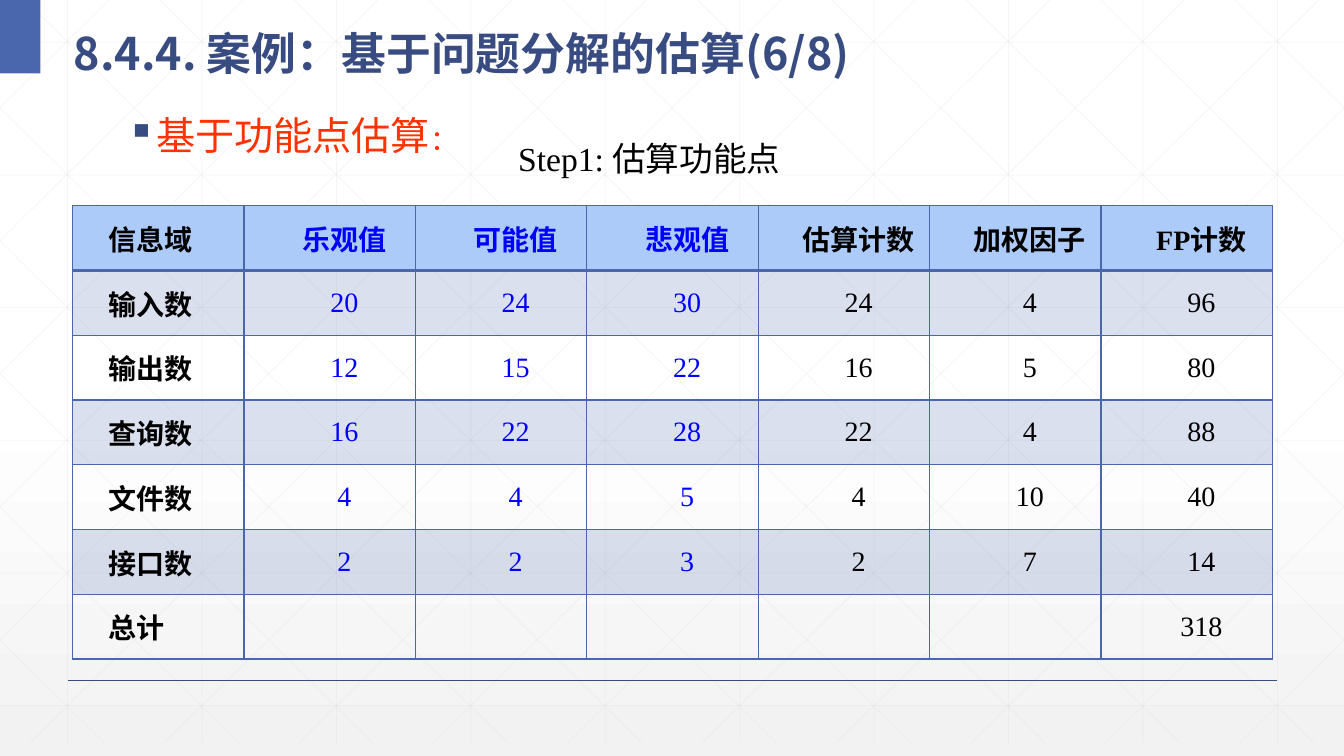
from lxml.etree import SubElement
from pptx import Presentation
from pptx.dml.color import RGBColor
from pptx.enum.shapes import MSO_CONNECTOR, MSO_SHAPE
from pptx.enum.text import MSO_ANCHOR, PP_ALIGN
from pptx.oxml.ns import qn
from pptx.util import Inches, Pt

COLORS = {
    "navy": "384C81", "accent": "4A66AC", "header": "ACCBF9", "grid": "D9D9D9",
    "red": "FF3300", "blue": "0000FF", "black": "000000",
    "white": "FFFFFF", "gray": "F2F2F2",
}
SANS, SERIF = "Noto Sans CJK SC", "Times New Roman"
WIDTH, HEIGHT = 13.33, 7.5
GRID_BOTTOM, GRID_STEP = 7.37, 4 / 3

ROWS = [
    ["信息域", "乐观值", "可能值", "悲观值", "估算计数", "加权因子", "FP计数"],
    ["输入数", "20", "24", "30", "24", "4", "96"],
    ["输出数", "12", "15", "22", "16", "5", "80"],
    ["查询数", "16", "22", "28", "22", "4", "88"],
    ["文件数", "4", "4", "5", "4", "10", "40"],
    ["接口数", "2", "2", "3", "2", "7", "14"],
    ["总计", "", "", "", "", "", "318"],
]


def add_element(parent, tag, **attributes):
    return SubElement(parent, qn(tag), attributes)


class SlideBuilder:
    def __init__(self, presentation):
        self.slide = presentation.slides.add_slide(presentation.slide_layouts[5])
        self.shapes = self.slide.shapes

    def color(self, name):
        return RGBColor.from_string(COLORS[name])

    def set_alpha(self, fill_parent, percent):
        for color in fill_parent.iter(qn("a:srgbClr")):
            add_element(color, "a:alpha", val=str(percent * 1000))

    def style(self, paragraph, size, color, name, bold=False):
        font = paragraph.font
        font.size, font.bold, font.name = Pt(size), bold, name
        font.color.rgb = self.color(color)
        add_element(font._rPr, "a:ea", typeface=SANS)

    def background(self, stops):
        fill = self.slide.background.fill
        fill.gradient()
        fill.gradient_angle = 270
        stop_list = next(self.slide.background._cSld.iter(qn("a:gsLst")))
        for stop in list(stop_list):
            stop_list.remove(stop)
        for position, name in stops:
            stop = add_element(stop_list, "a:gs", pos=str(position * 1000))
            add_element(stop, "a:srgbClr", val=COLORS[name])

    def line(self, start, end, color, width, alpha=None):
        points = [Inches(value) for value in (*start, *end)]
        connector = self.shapes.add_connector(MSO_CONNECTOR.STRAIGHT, *points)
        connector.line.color.rgb = self.color(color)
        connector.line.width = Pt(width)
        properties = connector._element.spPr
        if alpha:
            self.set_alpha(properties, alpha)
        add_element(properties, "a:effectLst")

    def grid_line(self, start, end):
        self.line(start, end, "grid", 0.5, alpha=25)

    def rectangle(self, left, top, width, height, color):
        shape = self.shapes.add_shape(
            MSO_SHAPE.RECTANGLE, *map(Inches, (left, top, width, height)))
        shape.shadow.inherit = False
        shape.fill.solid()
        shape.fill.fore_color.rgb = self.color(color)
        shape.line.fill.background()

    def title(self, text, left, top, width, height):
        title = self.shapes.title
        title.left, title.top = Inches(left), Inches(top)
        title.width, title.height = Inches(width), Inches(height)
        self.shapes._spTree.append(title._element)
        frame = title.text_frame
        frame.text = text
        frame.word_wrap = True
        frame.vertical_anchor = MSO_ANCHOR.MIDDLE
        paragraph = frame.paragraphs[0]
        paragraph.alignment = PP_ALIGN.LEFT
        paragraph.line_spacing = 1.3
        self.style(paragraph, 32, "navy", SANS, bold=True)

    def text_box(self, left, top, width, height, wrap):
        box = self.shapes.add_textbox(*map(Inches, (left, top, width, height)))
        box.text_frame.word_wrap = wrap
        return box.text_frame.paragraphs[0]

    def bullet(self, paragraph, character, color):
        properties = paragraph._p.get_or_add_pPr()
        properties.set("marL", str(Inches(0.25)))
        properties.set("indent", str(Inches(-0.25)))
        bullet_color = add_element(properties, "a:buClr")
        add_element(bullet_color, "a:srgbClr", val=COLORS[color])
        add_element(properties, "a:buChar", char=character)

    def borders(self, cell, bottom_width):
        properties = cell._tc.get_or_add_tcPr()
        for side, width in (("L", 1), ("R", 1), ("T", 1), ("B", bottom_width)):
            border = add_element(properties, f"a:ln{side}", w=str(Pt(width)))
            fill = add_element(border, "a:solidFill")
            add_element(fill, "a:srgbClr", val=COLORS["accent"])

    def cell(self, cell, text, row, column):
        self.borders(cell, 2 if row == 0 else 1)
        cell.margin_left = cell.margin_right = Inches(0.07)
        cell.margin_top = cell.margin_bottom = 0
        cell.vertical_anchor = MSO_ANCHOR.MIDDLE
        # Header colour, then tinted odd rows
        if row % 2 or row == 0:
            cell.fill.solid()
            cell.fill.fore_color.rgb = self.color("accent" if row else "header")
            if row:
                self.set_alpha(cell._tc.tcPr.find(qn("a:solidFill")), 20)
        else:
            cell.fill.background()
        cell.text = text
        paragraph = cell.text_frame.paragraphs[0]
        paragraph.alignment = PP_ALIGN.CENTER if column else PP_ALIGN.JUSTIFY
        paragraph._p.get_or_add_pPr().set("indent", str(Inches(0.29)))
        color = "blue" if 1 <= column <= 3 else "black"
        self.style(paragraph, 20, color, SERIF, bold=row == 0 or column == 0)

    def table(self, rows, left, top, width, height):
        frame = self.shapes.add_table(
            len(rows), len(rows[0]), *map(Inches, (left, top, width, height)))
        table = frame.table
        table.first_row = table.horz_banding = False
        for row, texts in enumerate(rows):
            for column, text in enumerate(texts):
                self.cell(table.cell(row, column), text, row, column)


def draw_grid(builder):
    for index in range(10):
        x = 0.67 + index * GRID_STEP
        builder.grid_line((x, 0), (x, GRID_BOTTOM))
    for index in range(6):
        y = 0.42 + index * 1.316
        builder.grid_line((0, y), (WIDTH, y))
    # Diagonals clipped to the slide, each with its mirror image
    run = 7.45
    slope = GRID_BOTTOM / run
    for index in range(-5, 10):
        x = 0.25 + index * GRID_STEP
        left, right = max(x, 0), min(x + run, WIDTH)
        top, bottom = (left - x) * slope, (right - x) * slope
        builder.grid_line((left, top), (right, bottom))
        builder.grid_line((WIDTH - left, top), (WIDTH - right, bottom))


def main():
    presentation = Presentation()
    presentation.slide_width = Inches(WIDTH)
    presentation.slide_height = Inches(HEIGHT)
    builder = SlideBuilder(presentation)

    # Backdrop
    builder.background([(0, "white"), (53, "white"), (100, "gray")])
    draw_grid(builder)
    builder.line((0.67, 6.75), (12.67, 6.75), "navy", 1)
    builder.rectangle(0, 0, 0.4, 0.73, "accent")

    # Headings
    builder.title("8.4.4. 案例：基于问题分解的估算(6/8)", 0.63, 0.08, 10.5, 0.73)
    topic = builder.text_box(1.16, 1.11, 10.5, 4.17, wrap=True)
    topic.line_spacing = 0.9
    builder.bullet(topic, "▪", "navy")
    for text, size in (("基于功能点估算", 28), ("：", 20)):
        run = topic.add_run()
        run.text = text
        run.font.size = Pt(size)
    builder.style(topic, 28, "red", SANS)
    step = builder.text_box(5.04, 1.32, 2.89, 0.5, wrap=False)
    step.text = "Step1: 估算功能点"
    builder.style(step, 24, "black", SERIF)

    # Function point table
    builder.table(ROWS, 0.72, 2.04, 11.9, 4.5)
    presentation.save("out.pptx")


if __name__ == "__main__":
    main()
